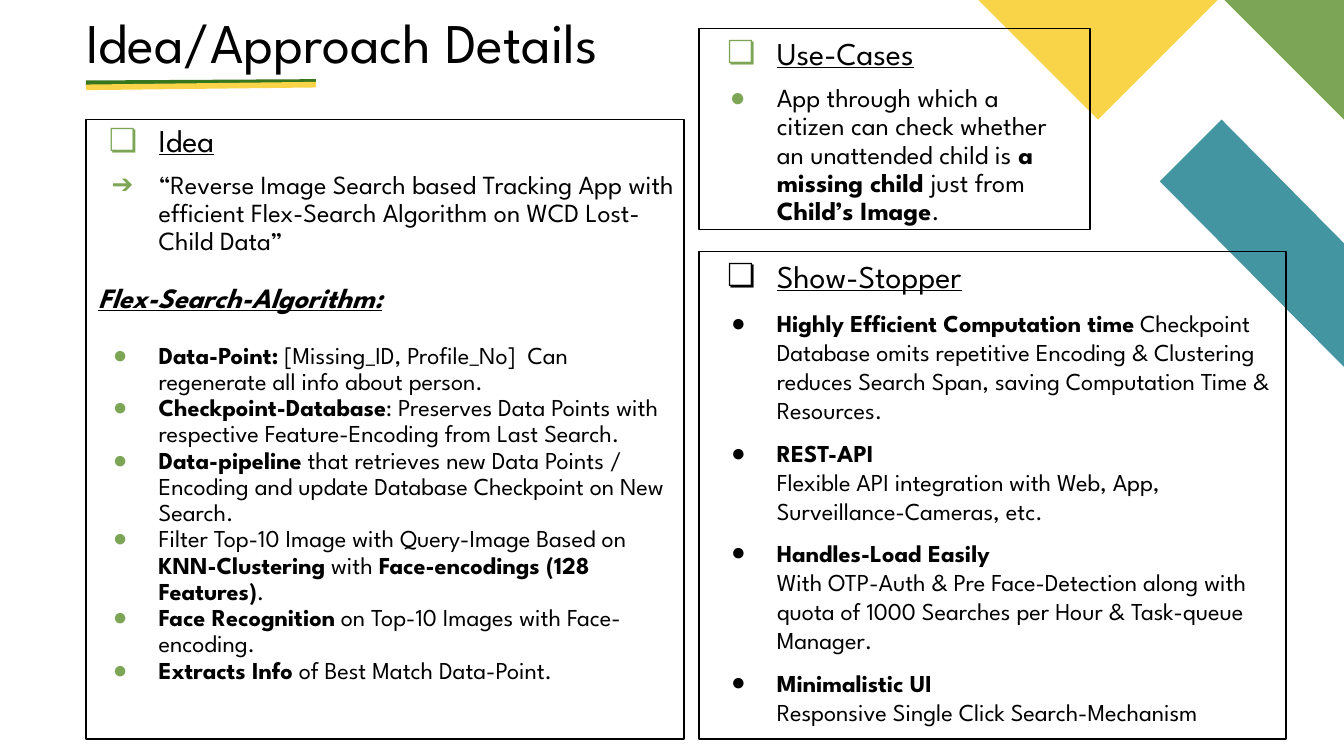
from dataclasses import dataclass

from lxml.etree import SubElement
from pptx import Presentation
from pptx.dml.color import RGBColor
from pptx.enum.shapes import MSO_CONNECTOR
from pptx.enum.text import MSO_ANCHOR, MSO_AUTO_SIZE, PP_ALIGN
from pptx.oxml.ns import qn
from pptx.util import Inches, Pt


@dataclass(frozen=True)
class Theme:
    font: str = "League Spartan"
    bullet_font: str = "Arial"
    ink: str = "000000"
    leaf: str = "7CA655"
    forest: str = "38761D"
    sun: str = "F9D448"
    teal: str = "4495A2"
    title: int = 30
    heading: int = 17
    subheading: int = 15
    lead: int = 14
    detail: int = 13


@dataclass(frozen=True)
class Span:
    text: str
    bold: bool = False
    underline: bool = False
    italic: bool = False


@dataclass(frozen=True)
class Item:
    """One paragraph; its indent is the left margin of the text in inches."""
    spans: tuple
    size: int
    before: float = 0
    bullet: str = ""
    hanging: float = 0.34
    indent: float = 0.5
    spacing: float = 0.9


@dataclass(frozen=True)
class Panel:
    left: float
    top: float
    width: float
    height: float
    side_inset: float
    bullet_color: str
    items: tuple


THEME = Theme()
SMALL_GAP = 6.5
MEDIUM_GAP = 7.2
WIDE_GAP = 15.2


def strong(text: str) -> Span:
    return Span(text, bold=True)


def heading(text: str, spacing: float = 1.0) -> Item:
    return Item((Span(text, underline=True),), THEME.heading,
                bullet="❏", hanging=0.37, spacing=spacing)


def point(*spans: Span, before: float = 0, spacing: float = 0.9) -> Item:
    return Item(spans, THEME.detail, before, "●", spacing=spacing)


def benefit(*spans: Span, before: float = MEDIUM_GAP) -> Item:
    return point(*spans, before=before, spacing=1.0)


# Content of the three panels
USE_CASES = Panel(5.2, 0.21, 2.91, 1.5, 0.08, THEME.leaf, (
    heading("Use-Cases"),
    Item((Span("App through which a  citizen can check whether an unattended child is "),
          strong("a missing child"), Span(" just from "),
          strong("Child’s Image"), Span(".")),
         THEME.lead, MEDIUM_GAP, "●", 0.35),
))

SHOW_STOPPER = Panel(5.2, 1.87, 4.37, 3.63, 0.08, THEME.ink, (
    heading("Show-Stopper"),
    benefit(strong("Highly Efficient Computation time"),
            Span(" Checkpoint Database omits repetitive Encoding & Clustering reduces "
                 "Search Span, saving Computation Time & Resources.")),
    benefit(strong("REST-API\n"),
            Span("Flexible API integration with Web, App, Surveillance-Cameras, etc.")),
    benefit(strong("Handles-Load Easily\n"),
            Span("With OTP-Auth & Pre Face-Detection along with quota of 1000 Searches "
                 "per Hour & Task-queue Manager."), before=SMALL_GAP),
    benefit(strong("Minimalistic UI")),
    Item((Span("Responsive Single Click Search-Mechanism"),), THEME.detail,
         hanging=0, spacing=1.0),
))

IDEA = Panel(0.64, 0.89, 4.45, 4.61, 0.04, THEME.leaf, (
    heading("Idea", spacing=0.9),
    Item((Span("“Reverse Image Search based Tracking App with efficient Flex-Search "
               "Algorithm on WCD Lost-Child Data”"),),
         THEME.lead, SMALL_GAP, "➔", 0.35),
    Item((Span("Flex-Search-Algorithm:", True, True, True),),
         THEME.subheading, WIDE_GAP, hanging=0, indent=0.05),
    point(strong("Data-Point:"),
          Span(" [Missing_ID, Profile_No]  Can regenerate all info about person."),
          before=WIDE_GAP),
    point(strong("Checkpoint-Database"),
          Span(": Preserves Data Points with respective Feature-Encoding from Last Search.")),
    point(strong("Data-pipeline"),
          Span(" that retrieves new Data Points / Encoding and update Database "
               "Checkpoint on New Search.")),
    point(Span("Filter Top-10 Image with Query-Image Based on "),
          strong("KNN-Clustering"), Span(" with "),
          strong("Face-encodings (128 Features)"), Span(".")),
    point(strong("Face Recognition"), Span(" on Top-10 Images with Face-encoding.")),
    point(strong("Extracts Info"), Span(" of Best Match Data-Point.")),
))

# Corner decorations: colour and outline in inches
CORNER = (
    (THEME.teal, ((10, 2.73), (10, 1.81), (9.09, 0.89), (8.63, 1.35))),
    (THEME.leaf, ((10, 0.89), (10, 0), (9.11, 0))),
    (THEME.sun, ((7.28, 0), (8.17, 0.89), (9.06, 0))),
)


def add_span(para, span: Span, size: int) -> None:
    for index, line in enumerate(span.text.split("\n")):
        if index:
            para.add_line_break()
        if not line:
            continue
        run = para.add_run()
        run.text = line
        font = run.font
        font.name, font.size = THEME.font, Pt(size)
        font.bold, font.italic, font.underline = span.bold, span.italic, span.underline
        font.color.rgb = RGBColor.from_string(THEME.ink)


def set_bullet(para, item: Item, color: str) -> None:
    props = para._p.get_or_add_pPr()
    props.set("marL", str(Inches(item.indent)))
    props.set("indent", str(-Inches(item.hanging)))
    if not item.bullet:
        SubElement(props, qn("a:buNone"))
        return
    fill = SubElement(props, qn("a:buClr"))
    SubElement(fill, qn("a:srgbClr")).set("val", color)
    SubElement(props, qn("a:buFont")).set("typeface", THEME.bullet_font)
    SubElement(props, qn("a:buChar")).set("char", item.bullet)


def place(box, left: float, top: float, width: float, height: float) -> None:
    box.left, box.top = Inches(left), Inches(top)
    box.width, box.height = Inches(width), Inches(height)


def set_frame(box, anchor, side: float, edge: float):
    frame = box.text_frame
    frame.word_wrap, frame.auto_size = True, MSO_AUTO_SIZE.NONE
    frame.vertical_anchor = anchor
    frame.margin_left = frame.margin_right = Inches(side)
    frame.margin_top = frame.margin_bottom = Inches(edge)
    return frame


def fill_panel(box, panel: Panel) -> None:
    place(box, panel.left, panel.top, panel.width, panel.height)
    box.line.color.rgb = RGBColor.from_string(THEME.ink)
    box.line.width = Pt(0.75)
    frame = set_frame(box, MSO_ANCHOR.TOP, panel.side_inset, 0.04)
    for index, item in enumerate(panel.items):
        para = frame.add_paragraph() if index else frame.paragraphs[0]
        para.alignment = PP_ALIGN.LEFT
        para.line_spacing = item.spacing
        para.space_before, para.space_after = Pt(item.before), Pt(0)
        set_bullet(para, item, panel.bullet_color)
        for span in item.spans:
            add_span(para, span, item.size)


def add_corner(page, color: str, points: tuple) -> None:
    start, *rest = [(Inches(x), Inches(y)) for x, y in points]
    builder = page.shapes.build_freeform(*start)
    builder.add_line_segments(rest, close=True)
    shape = builder.convert_to_shape()
    shape.shadow.inherit = False
    shape.fill.solid()
    shape.fill.fore_color.rgb = RGBColor.from_string(color)
    shape.line.fill.background()
    # Keep decorations behind the text
    shape._element.getparent().insert(2, shape._element)


def add_underline(page, color: str, start_y: float, end_y: float) -> None:
    line = page.shapes.add_connector(MSO_CONNECTOR.STRAIGHT, Inches(0.64), Inches(start_y),
                                     Inches(2.35), Inches(end_y))
    line.line.color.rgb = RGBColor.from_string(color)
    line.line.width = Pt(3)
    SubElement(line._element.spPr, qn("a:effectLst"))


def main() -> None:
    deck = Presentation()
    # Widescreen, 16 to 9
    deck.slide_width = Inches(10)
    deck.slide_height = deck.slide_width * 9 // 16
    page = deck.slides.add_slide(deck.slide_layouts.get_by_name("Two Content"))
    title, idea_box, use_case_box = page.placeholders

    for color, points in CORNER:
        add_corner(page, color, points)

    # Title with its double underline
    place(title, 0.64, 0.06, 8.07, 0.5)
    para = set_frame(title, MSO_ANCHOR.BOTTOM, 0, 0).paragraphs[0]
    para.alignment, para.line_spacing = PP_ALIGN.LEFT, 0.9
    add_span(para, Span("Idea/Approach Details"), THEME.title)
    add_underline(page, THEME.forest, 0.62, 0.61)
    add_underline(page, THEME.sun, 0.65, 0.63)

    # Text panels
    fill_panel(idea_box, IDEA)
    fill_panel(use_case_box, USE_CASES)
    fill_panel(page.shapes.add_textbox(0, 0, 0, 0), SHOW_STOPPER)

    deck.save("out.pptx")


if __name__ == "__main__":
    main()
